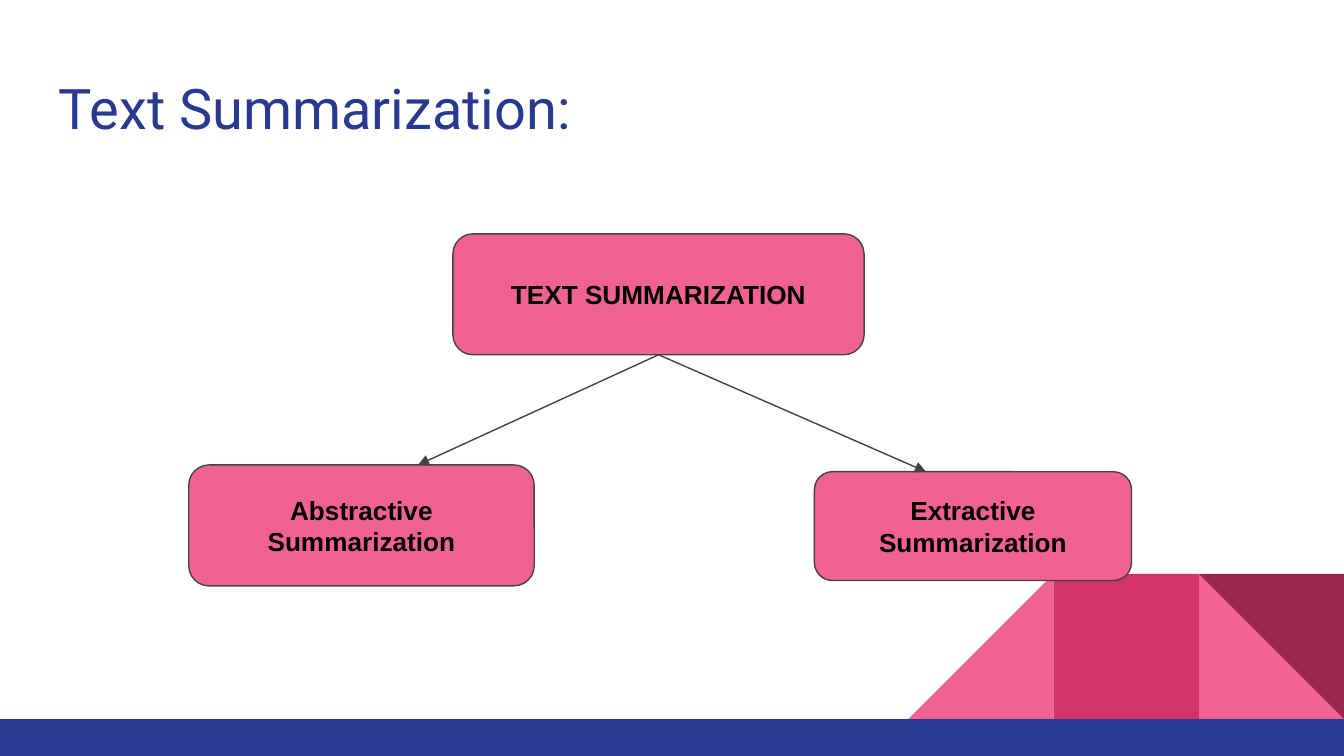
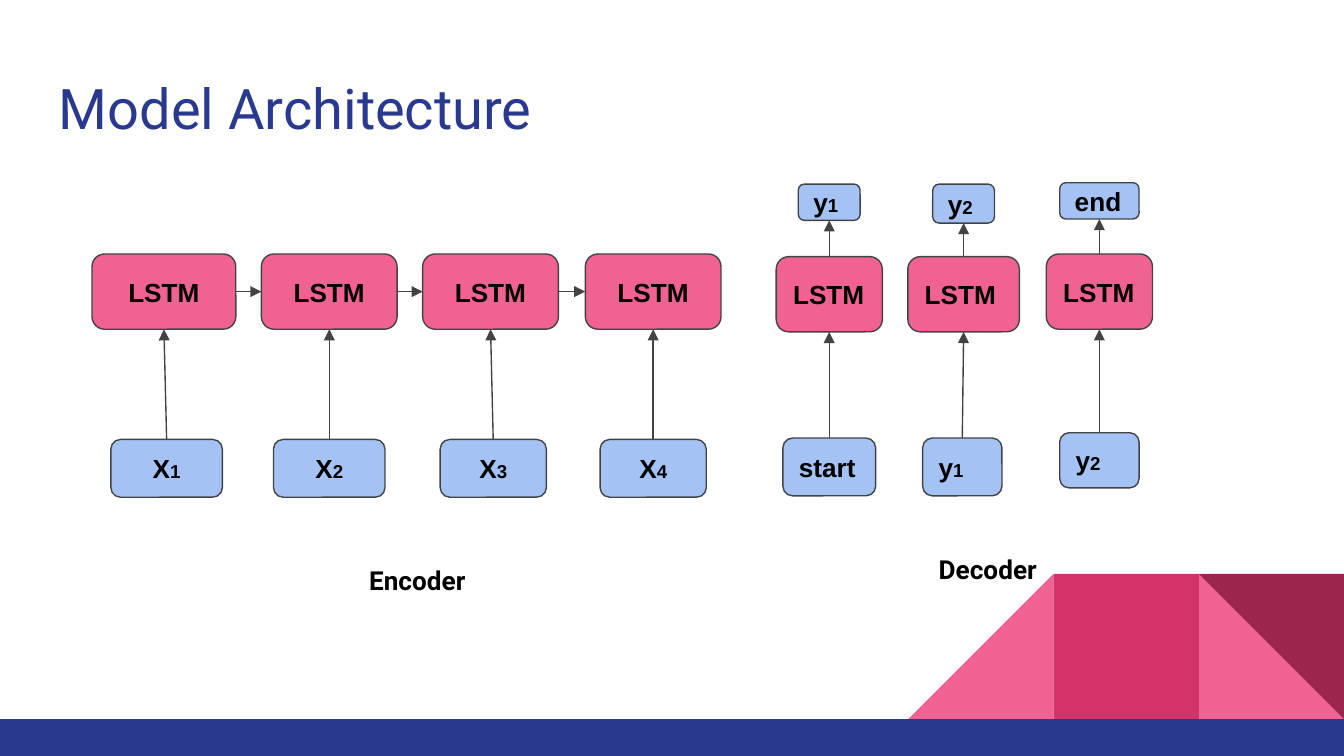
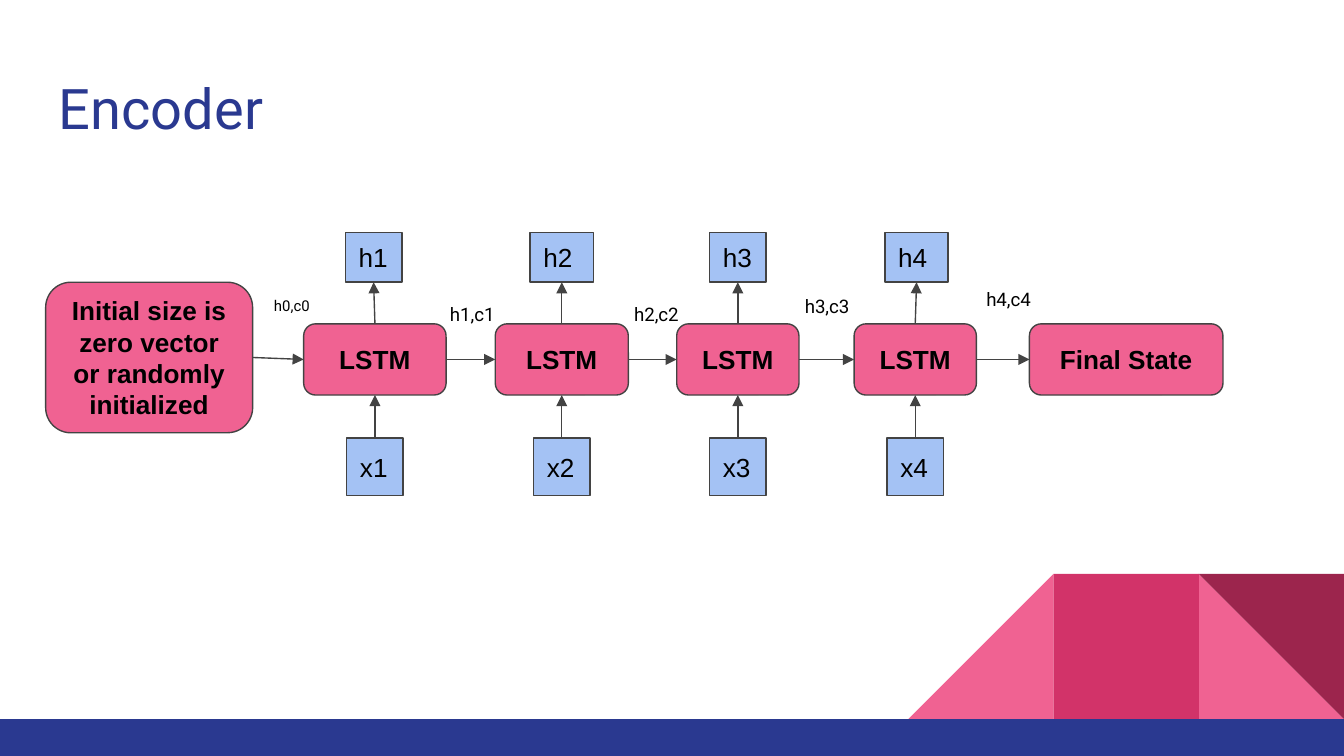
"""Build three slides on text summarization and its LSTM encoder-decoder model."""
from lxml.etree import SubElement
from pptx import Presentation
from pptx.dml.color import RGBColor
from pptx.enum.shapes import MSO_CONNECTOR, MSO_SHAPE
from pptx.enum.text import MSO_ANCHOR, PP_ALIGN
from pptx.oxml.ns import qn
from pptx.util import Inches, Pt

PINK = RGBColor(0xF0, 0x62, 0x92)
ROSE = RGBColor(0xD2, 0x33, 0x69)
WINE = RGBColor(0x9C, 0x25, 0x4D)
NAVY = RGBColor(0x2A, 0x39, 0x90)
SKY = RGBColor(0xA4, 0xC2, 0xF4)
GREY = RGBColor(0x43, 0x43, 0x43)
BLACK = RGBColor(0, 0, 0)

WIDTH, HEIGHT = 10, 5.625
BAND_TOP = 5.35
TILE = 1.08
TOP, LEFT, BOTTOM, RIGHT = range(4)
ROUND, RECT = MSO_SHAPE.ROUNDED_RECTANGLE, MSO_SHAPE.RECTANGLE
TRIANGLE = MSO_SHAPE.RIGHT_TRIANGLE

# Boxes are (text runs, centre, top, width, height).
SUMMARY_ROOT = ("TEXT SUMMARIZATION",), 4.9, 1.74, 3.06, 0.9
SUMMARY_KINDS = [
    ((("Abstractive Summarization",), 2.69, 3.46, 2.57, 0.9), 3.11),
    ((("Extractive Summarization",), 7.24, 3.51, 2.36, 0.81), 6.89),
]
ENCODER_CELLS = [(1.22, 1.07), (2.45, 1.01), (3.65, 1.01), (4.86, 1.01)]
ENCODER_INPUTS = [(1.24, 0.83), (2.45, 0.83), (3.67, 0.79), (4.86, 0.79)]
DECODER = [
    ((("y", "1"), 6.17, 1.37, 0.46, 0.27), (("LSTM",), 6.17, 1.91, 0.79, 0.56),
     (("start",), 6.17, 3.26, 0.69, 0.43)),
    ((("y", "2"), 7.17, 1.37, 0.46, 0.29), (("LSTM",), 7.17, 1.91, 0.83, 0.56),
     (("y", "1"), 7.16, 3.26, 0.59, 0.43)),
    ((("end",), 8.18, 1.36, 0.59, 0.27), (("LSTM",), 8.18, 1.89, 0.79, 0.56),
     (("y", "2"), 8.18, 3.22, 0.59, 0.41)),
]
PART_NAMES = [("Encoder", 1.56, 4.1, 3.09, 0.56), ("Decoder", 6.17, 4.02, 2.36, 0.43)]
INITIAL = ("Initial size is zero vector or randomly initialized",), 1.11, 2.1, 1.54, 1.12
FINAL = ("Final State",), 8.38, 2.41, 1.44, 0.53
STEPS = [(2.79, 1.06, 2.78, 0.42), (4.18, 0.99, 4.18, 0.47),
         (5.49, 0.91, 5.49, 0.42), (6.81, 0.91, 6.82, 0.47)]
STATES = [("h0,c0", 1.94, 2.14, 8), ("h1,c1", 3.25, 2.17, 10), ("h2,c2", 4.62, 2.17, 10),
          ("h3,c3", 5.89, 2.11, 10), ("h4,c4", 7.24, 2.06, 10)]


def write(tf, runs, font, color, bold=False, align=PP_ALIGN.LEFT):
    """Fill a text frame with one paragraph of (text, size) runs."""
    tf.word_wrap = True
    tf.margin_left = tf.margin_right = tf.margin_top = tf.margin_bottom = Inches(0.1)
    p = tf.paragraphs[0]
    p.alignment = align
    for text, size in runs:
        r = p.add_run()
        r.text = text
        r.font.name, r.font.size, r.font.bold = font, Pt(size), bold
        r.font.color.rgb = color


def label(slide, text, x, y, w, h, size, color=BLACK, **style):
    """Add a Roboto text box."""
    tb = slide.shapes.add_textbox(Inches(x), Inches(y), Inches(w), Inches(h))
    write(tb.text_frame, [(text, size)], "Roboto", color, **style)


def block(slide, kind, x, y, w, h, fill):
    """Add a flat shape without outline."""
    s = slide.shapes.add_shape(kind, Inches(x), Inches(y), Inches(w), Inches(h))
    s.shadow.inherit = False
    s.fill.solid()
    s.fill.fore_color.rgb = fill
    s.line.fill.background()
    return s


def box(slide, spec_box, fill=PINK, kind=ROUND, bold=True, align=PP_ALIGN.CENTER):
    """Add an outlined box; runs after the first are small indices."""
    texts, centre, y, w, h = spec_box
    s = block(slide, kind, centre - w / 2, y, w, h, fill)
    s.line.color.rgb = GREY
    s.line.width = Pt(0.75)
    runs = [(text, 10 if i else 14) for i, text in enumerate(texts)]
    write(s.text_frame, runs, "Arial", BLACK, bold, align)
    s.text_frame.vertical_anchor = MSO_ANCHOR.MIDDLE
    return s


def arrow(slide, x1=0, y1=0, x2=0, y2=0):
    """Add a thin line with a triangular head at its end."""
    c = slide.shapes.add_connector(MSO_CONNECTOR.STRAIGHT, x1, y1, x2, y2)
    c.line.color.rgb = GREY
    c.line.width = Pt(0.75)
    sp = c._element.spPr
    SubElement(sp.find(qn("a:ln")), qn("a:tailEnd"), type="triangle")
    SubElement(sp, qn("a:effectLst"))
    return c


def link(slide, start, end, sides):
    """Join two boxes by an arrow between the given sides."""
    c = arrow(slide)
    c.begin_connect(start, sides[0])
    c.end_connect(end, sides[1])


def rise(slide, lower, upper):
    link(slide, lower, upper, (TOP, BOTTOM))


def chain(slide, boxes):
    for start, end in zip(boxes, boxes[1:]):
        link(slide, start, end, (RIGHT, LEFT))


def new_slide(prs, title):
    """Start a slide with the corner tiles, bottom band and title."""
    slide = prs.slides.add_slide(prs.slide_layouts[6])
    left, middle, right = (WIDTH - n * TILE for n in (3, 2, 1))
    y = BAND_TOP - TILE
    block(slide, TRIANGLE, right, y, TILE, TILE, PINK)
    ramp = block(slide, TRIANGLE, left, y, TILE, TILE, PINK)
    ramp._element.spPr.find(qn("a:xfrm")).set("flipH", "1")
    block(slide, RECT, middle, y, TILE, TILE, ROSE)
    block(slide, TRIANGLE, right, y, TILE, TILE, WINE).rotation = 180
    block(slide, RECT, 0, BAND_TOP, WIDTH, HEIGHT - BAND_TOP, NAVY)
    label(slide, title, 0.34, 0.45, 9.32, 0.66, 30, NAVY)
    return slide


def summarization(prs):
    slide = new_slide(prs, "Text Summarization:")
    root = box(slide, SUMMARY_ROOT)
    for kind, tip in SUMMARY_KINDS:
        child = box(slide, kind)
        arrow(slide, root.left + root.width // 2, root.top + root.height,
              Inches(tip), child.top)


def architecture(prs):
    slide = new_slide(prs, "Model Architecture")
    cells = [box(slide, (("LSTM",), x, 1.89, w, 0.56)) for x, w in ENCODER_CELLS]
    chain(slide, cells)
    for i, (x, w) in enumerate(ENCODER_INPUTS):
        rise(slide, box(slide, (("X", str(i + 1)), x, 3.27, w, 0.43), SKY), cells[i])
    for column in DECODER:
        above, cell, below = (box(slide, b, fill, align=PP_ALIGN.LEFT)
                              for b, fill in zip(column, (SKY, PINK, SKY)))
        rise(slide, below, cell)
        rise(slide, cell, above)
    for part in PART_NAMES:
        label(slide, *part, 14, bold=True, align=PP_ALIGN.CENTER)


def encoder(prs):
    slide = new_slide(prs, "Encoder")
    plain = dict(fill=SKY, kind=RECT, bold=False, align=PP_ALIGN.LEFT)
    cells = []
    for n, (x, w, out_x, out_w) in enumerate(STEPS, 1):
        cell = box(slide, (("LSTM",), x, 2.41, w, 0.53))
        rise(slide, cell, box(slide, ((f"h{n}",), out_x, 1.73, out_w, 0.37), **plain))
        rise(slide, box(slide, ((f"x{n}",), x, 3.26, 0.42, 0.43), **plain), cell)
        cells.append(cell)
    chain(slide, [box(slide, INITIAL), *cells, box(slide, FINAL)])
    for text, x, y, size in STATES:
        label(slide, text, x, y, size * 0.06, 0.29, size)


def main():
    prs = Presentation()
    prs.slide_width, prs.slide_height = Inches(WIDTH), Inches(HEIGHT)
    for build in (summarization, architecture, encoder):
        build(prs)
    prs.save("out.pptx")


if __name__ == "__main__":
    main()
